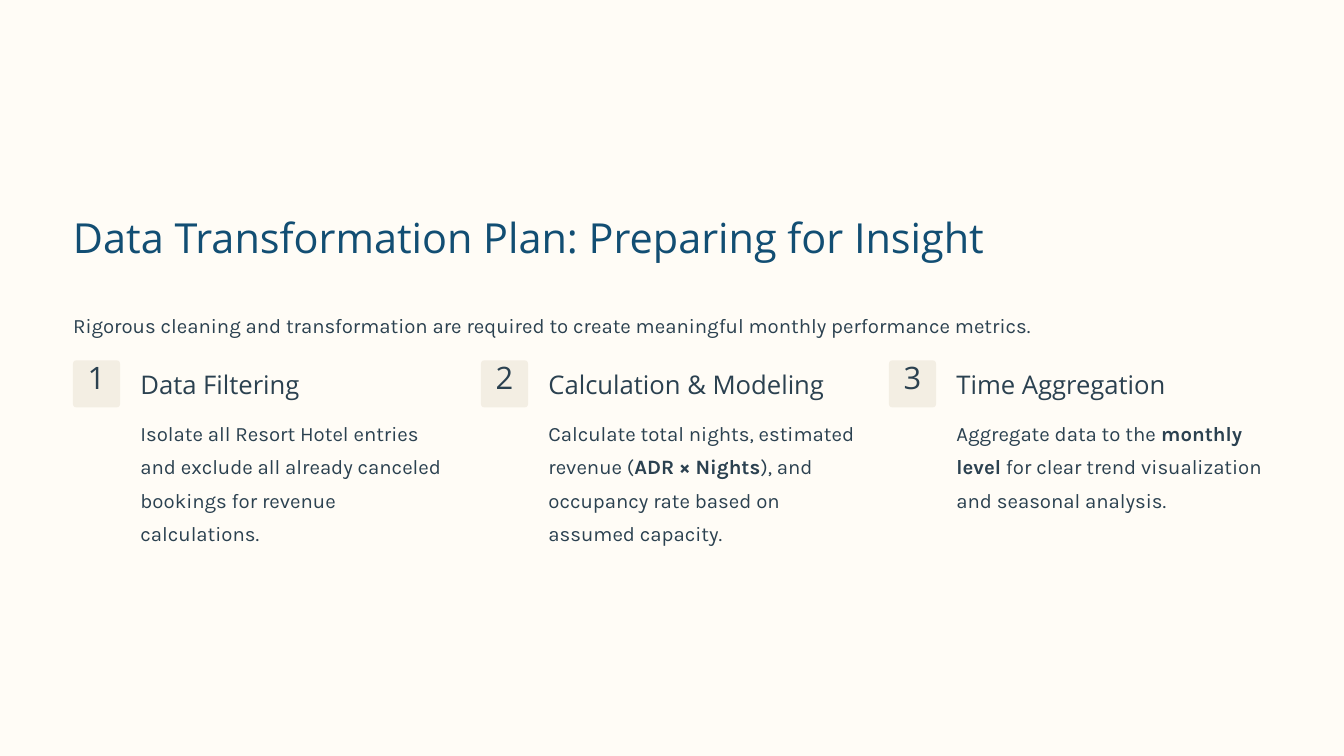
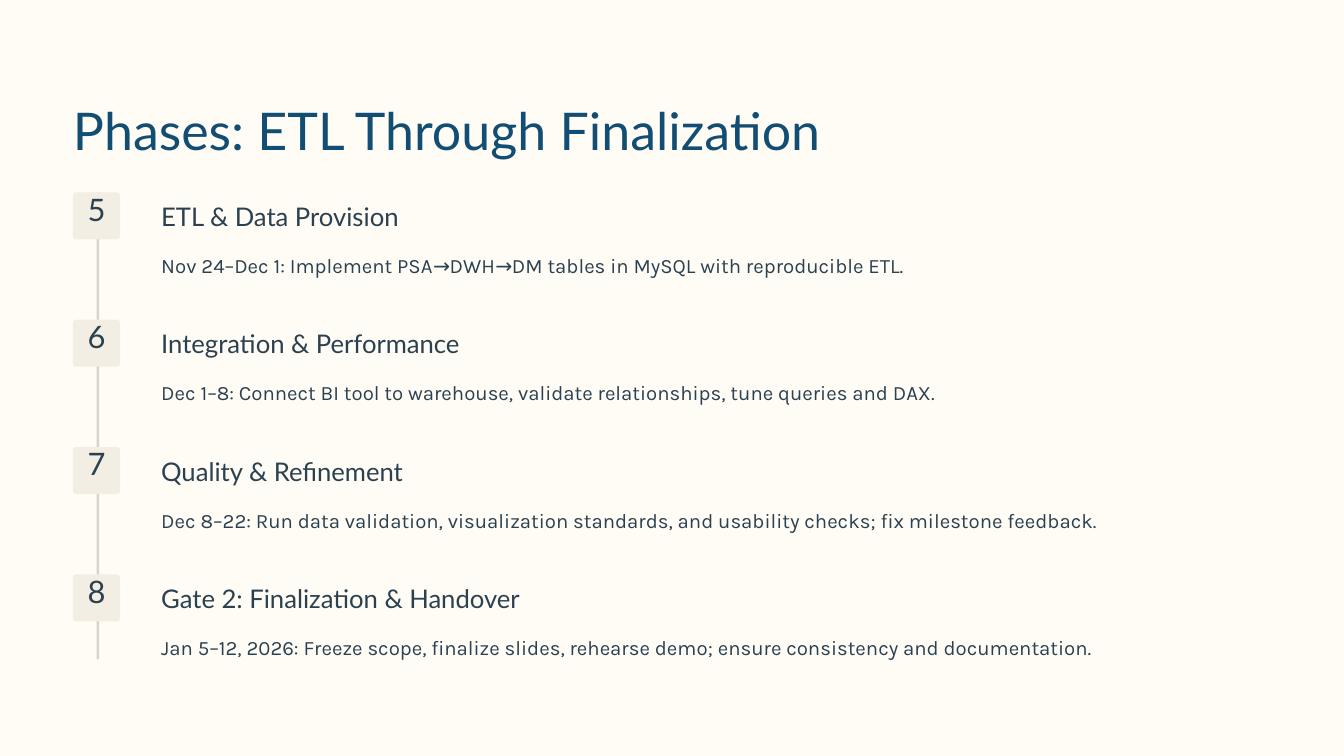
"""Build two slides: a three-step data plan and a four-phase timeline."""
from pptx import Presentation
from pptx.dml.color import RGBColor
from pptx.enum.shapes import MSO_SHAPE
from pptx.enum.text import PP_ALIGN
from pptx.util import Pt

ROUNDED = MSO_SHAPE.ROUNDED_RECTANGLE
LEFT, CENTER = PP_ALIGN.LEFT, PP_ALIGN.CENTER

CREAM = RGBColor(0xFF, 0xFC, 0xF6)
SAND = RGBColor(0xF3, 0xEE, 0xE3)
STONE = RGBColor(0xD9, 0xD4, 0xC9)
NAVY = RGBColor(0x12, 0x4E, 0x73)
SLATE = RGBColor(0x2B, 0x41, 0x50)

OPEN_SANS, LATO, KARLA = "Open Sans", "Lato", "Karla"
MARGIN = 62.6
CONTENT_WIDTH = 1026.8
BADGE = 40.3
BODY_LINE = 28.5
BODY = {"name": KARLA, "size": Pt(17.5)}

PLAN_TOP, PLAN_STEP = 308.9, 349.7
PLAN = [
    ("1", "Data Filtering", 223.2, 3,
     "Isolate all Resort Hotel entries and exclude all already canceled "
     "bookings for revenue calculations."),
    ("2", "Calculation & Modeling", 244.1, 4,
     "Calculate total nights, estimated revenue (**ADR × Nights**), and "
     "occupancy rate based on assumed capacity."),
    ("3", "Time Aggregation", 223.2, 3,
     "Aggregate data to the **monthly level** for clear trend visualization "
     "and seasonal analysis."),
]

PHASE_TOP, PHASE_STEP = 164.9, 109.15
PHASES = [
    ("5", "ETL & Data Provision", 223.2, 1,
     "Nov 24–Dec 1: Implement PSA→DWH→DM tables in MySQL with reproducible ETL."),
    ("6", "Integration & Performance", 260.6, 1,
     "Dec 1–8: Connect BI tool to warehouse, validate relationships, "
     "tune queries and DAX."),
    ("7", "Quality & Refinement", 223.2, 1,
     "Dec 8–22: Run data validation, visualization standards, and usability "
     "checks; fix milestone feedback."),
    ("8", "Gate 2: Finalization & Handover", 314.6, 1,
     "Jan 5–12, 2026: Freeze scope, finalize slides, rehearse demo; "
     "ensure consistency and documentation."),
]


def add_page(deck):
    """Add a blank page with the shared background."""
    page = deck.slides.add_slide(deck.slide_layouts[6])
    page.background.fill.solid()
    page.background.fill.fore_color.rgb = CREAM
    return page


def add_text(page, area, text, line, style, color=SLATE, align=LEFT, wrap=False):
    """Add a text box; parts between double asterisks are bold."""
    frame = page.shapes.add_textbox(*map(Pt, area)).text_frame
    frame.word_wrap = wrap
    for side in ("left", "top", "right", "bottom"):
        setattr(frame, f"margin_{side}", 0)
    para = frame.paragraphs[0]
    para.alignment = align
    para.line_spacing = Pt(line)
    for index, part in enumerate(text.split("**")):
        span = para.add_run()
        span.text = part
        for name, value in {**style, "bold": index % 2 == 1}.items():
            setattr(span.font, name, value)
        span.font.color.rgb = color


def add_block(page, area, color, rounding):
    """Add a plain rounded rectangle."""
    block = page.shapes.add_shape(ROUNDED, *map(Pt, area))
    block.adjustments[0] = rounding
    block.shadow.inherit = False
    block.fill.solid()
    block.fill.fore_color.rgb = color
    block.line.fill.background()


def add_title(page, top, width, height, text, line, size, font):
    """Add the page title."""
    add_text(page, (MARGIN, top, width, height), text, line,
             {"name": font, "size": Pt(size)}, NAVY)


def add_step(page, left, top, indent, width, font, step, wrap=False):
    """Add a numbered badge with its heading and description."""
    number, heading, heading_width, lines, body = step
    add_block(page, (left, top, BADGE, BADGE), SAND, 0.07)
    add_text(page, (left + 6.8, top + 3.4, 26.7, 33.8), number, 26.5,
             {"name": font, "size": Pt(26.5)}, align=CENTER)
    add_text(page, (left + indent, top + 6.3, heading_width, 28), heading, 27.5,
             {"name": font, "size": Pt(22)})
    add_text(page, (left + indent, top + 44.6, width, lines * BODY_LINE),
             body, BODY_LINE, BODY, wrap=wrap)


def build_plan(deck):
    """Build the page with three steps side by side."""
    page = add_page(deck)
    add_title(page, 180, 803.5, 44.6,
              "Data Transformation Plan: Preparing for Insight", 44.5, 35.5, OPEN_SANS)
    add_text(page, (MARGIN, 260.6, CONTENT_WIDTH, BODY_LINE),
             "Rigorous cleaning and transformation are required to create "
             "meaningful monthly performance metrics.", BODY_LINE, BODY)
    for index, step in enumerate(PLAN):
        add_step(page, MARGIN + index * PLAN_STEP, PLAN_TOP, 57.8, 269.3,
                 OPEN_SANS, step, wrap=True)


def build_phases(deck):
    """Build the page with four phases along a vertical line."""
    page = add_page(deck)
    add_title(page, 82.8, 643.7, 56.2,
              "Phases: ETL Through Finalization", 55.5, 44.5, LATO)
    add_block(page, (82.8, PHASE_TOP, 2.2, 400.3), STONE, 0.5)
    for index, phase in enumerate(PHASES):
        add_step(page, MARGIN, PHASE_TOP + index * PHASE_STEP, 75.6, 951.1,
                 LATO, phase)


def main():
    """Create and save the deck."""
    deck = Presentation()
    deck.slide_width, deck.slide_height = Pt(1152), Pt(648)
    build_plan(deck)
    build_phases(deck)
    deck.save("out.pptx")


if __name__ == "__main__":
    main()
